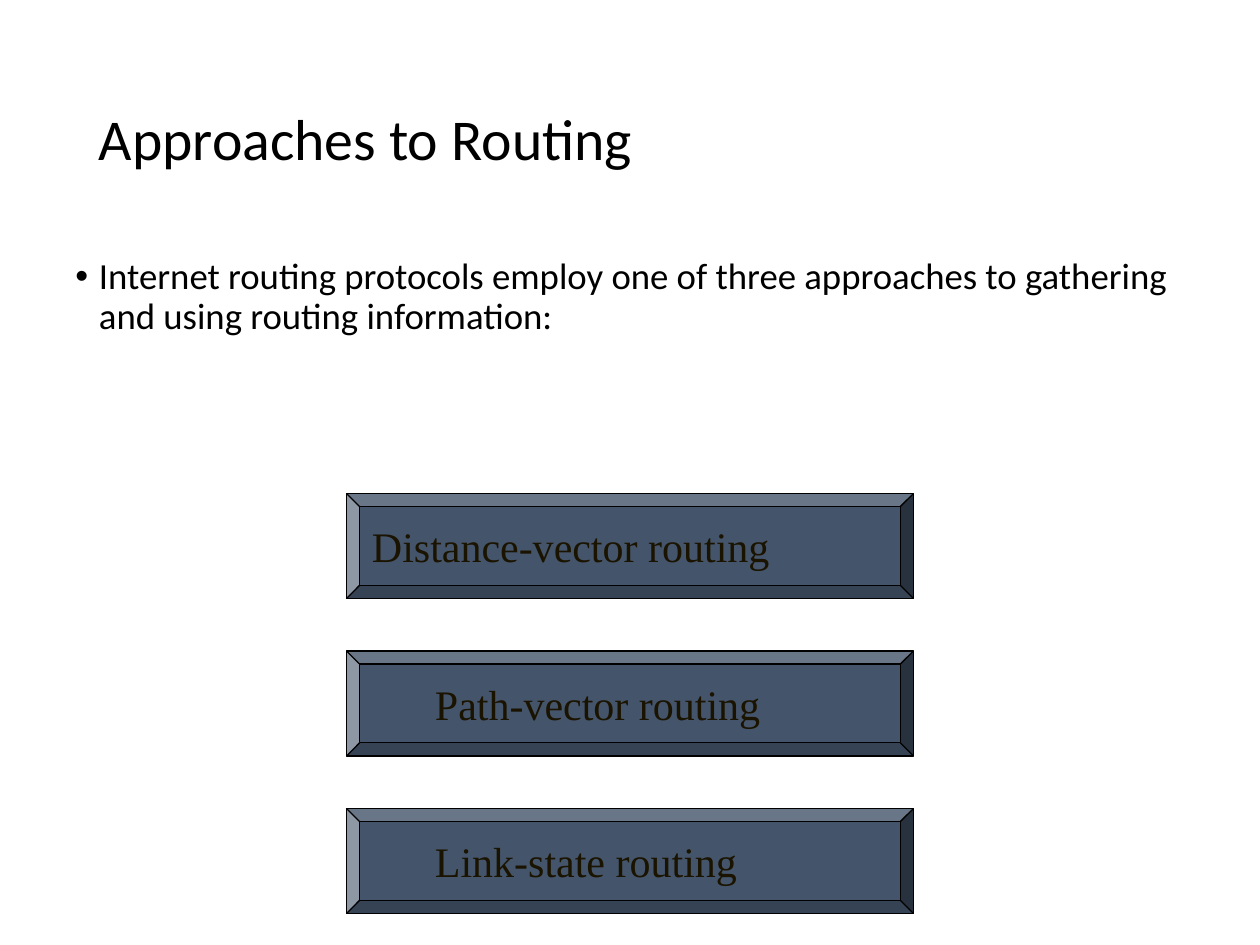
from pptx import Presentation
from pptx.dml.color import RGBColor
from pptx.enum.shapes import MSO_SHAPE
from pptx.enum.text import MSO_ANCHOR, PP_ALIGN
from pptx.oxml.ns import qn
from pptx.util import Pt
from lxml.etree import SubElement

COLORS = {"text": "000000", "label": "1A1300", "bevel": "44546A", "outline": "000000"}
TITLE_FONT = {"name": "Calibri", "size": Pt(33)}
BODY_FONT = {"name": "Calibri", "size": Pt(21)}
LABEL_FONT = {"name": "Times New Roman", "size": Pt(24)}


def write_text(shape, text, font, color, frame_format, paragraph_format):
    frame = shape.text_frame
    paragraph = frame.paragraphs[0]
    run = paragraph.add_run()
    run.text = text
    run.font.color.rgb = RGBColor.from_string(COLORS[color])
    for target, values in (
        (frame, {"word_wrap": True, **frame_format}),
        (paragraph, {"alignment": PP_ALIGN.LEFT, **paragraph_format}),
        (run.font, font),
    ):
        for name, value in values.items():
            setattr(target, name, value)
    return paragraph


def indent(paragraph, margin, first_line=0):
    properties = paragraph._p.get_or_add_pPr()
    properties.set("marL", str(Pt(margin)))
    properties.set("indent", str(Pt(first_line)))
    return properties


def add_title(slide, left, top, width, height):
    box = slide.shapes.add_textbox(Pt(left), Pt(top), Pt(width), Pt(height))
    write_text(box, "Approaches to Routing", TITLE_FONT, "text",
               {"vertical_anchor": MSO_ANCHOR.MIDDLE}, {"line_spacing": 0.9})


def add_body(slide, left, top, width, height):
    box = slide.shapes.add_textbox(Pt(left), Pt(top), Pt(width), Pt(height))
    paragraph = write_text(
        box,
        "Internet routing protocols employ one of three approaches to gathering "
        "and using routing information:",
        BODY_FONT, "text", {"vertical_anchor": MSO_ANCHOR.TOP},
        {"line_spacing": 0.9, "space_before": Pt(7.5)})
    properties = indent(paragraph, 13.5, -13.5)
    SubElement(properties, qn("a:buFont"), typeface="Arial")
    SubElement(properties, qn("a:buChar"), char="•")


def add_approaches(slide, left, top, width, height, approaches):
    bevel_height = 60
    pitch = (height - bevel_height) / (len(approaches) - 1)
    for row, (label, margin) in enumerate(approaches):
        bevel = slide.shapes.add_shape(
            MSO_SHAPE.BEVEL, Pt(left), Pt(top + row * pitch), Pt(width), Pt(bevel_height))
        bevel.shadow.inherit = False
        bevel.fill.solid()
        bevel.fill.fore_color.rgb = RGBColor.from_string(COLORS["bevel"])
        bevel.line.color.rgb = RGBColor.from_string(COLORS["outline"])
        bevel.line.width = Pt(0.75)
        paragraph = write_text(bevel, label, LABEL_FONT, "label",
                               {"vertical_anchor": MSO_ANCHOR.MIDDLE}, {})
        indent(paragraph, margin)


def main():
    presentation = Presentation()
    presentation.slide_width, presentation.slide_height = Pt(720), Pt(540)
    slide = presentation.slides.add_slide(presentation.slide_layouts[6])
    add_title(slide, 49.5, 28.75, 621, 104.38)
    add_body(slide, 36, 144, 648, 126)
    add_approaches(slide, 198, 282, 324, 240, [
        ("Distance-vector routing", 0),
        ("Path-vector routing", 36),
        ("Link-state routing", 36),
    ])
    presentation.save("out.pptx")


if __name__ == "__main__":
    main()
